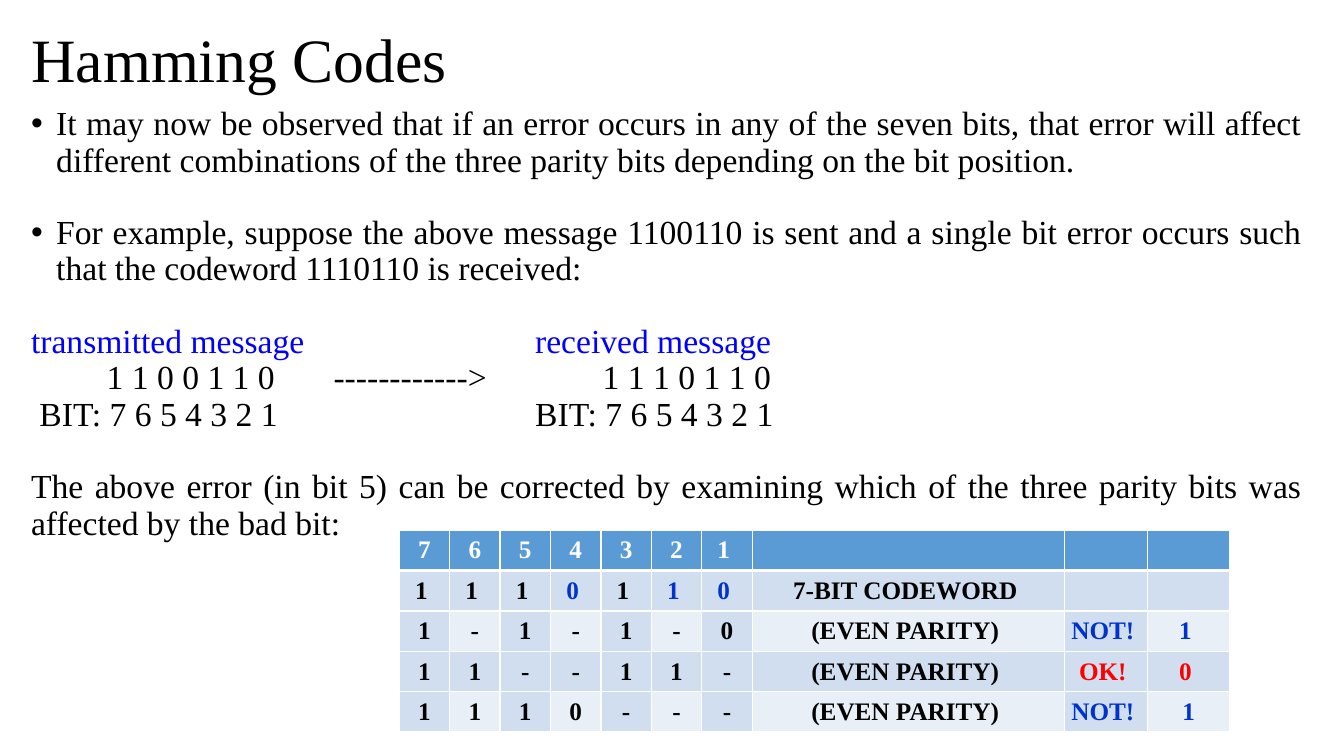
from pptx import Presentation, util as u
from pptx.dml.color import RGBColor
from pptx.enum import text as t
from lxml import etree

TITLE = "Hamming Codes"
BODY = [
    ("It may now be observed that if an error occurs in any of the seven bits, that error will affect different combinations of the three parity bits depending on the bit position.", "bullet", 0, "black", []),
    ("For example, suppose the above message 1100110 is sent and a single bit error occurs such that the codeword 1110110 is received:", "bullet", 26, "black", []),
    ("transmitted message\treceived message", "plain", 26, "link", [500]),
    ("\t1 1 0 0 1 1 0\t------------>\t1 1 1 0 1 1 0", "plain", 0, "black", [75, 300, 567]),
    (" BIT: 7 6 5 4 3 2 1\tBIT: 7 6 5 4 3 2 1", "plain", 0, "black", [500]),
    ("The above error (in bit 5) can be corrected by examining which of the three parity bits was affected by the bad bit:", "plain", 26, "black", []),
]
ROWS = [
    ["7", "6", "5", "4", "3", "2", "1 ", "", "", ""],
    ["1 ", "1 ", "1 ", "0 ", "1 ", "1 ", "0 ", "7-BIT CODEWORD ", "", ""],
    ["1", "-", "1", "-", "1", "-", "0", "(EVEN PARITY) ", "NOT! ", "1 "],
    ["1", "1", "-", "-", "1", "1", "-", "(EVEN PARITY) ", "OK! ", "0 "],
    ["1", "1", "1", "0", "-", "-", "-", "(EVEN PARITY) ", "NOT! ", "1"],
]
PARITY = {(1, 3), (1, 5), (1, 6)}
COLS = [50] * 7 + [310, 82, 82]
HIGH = 40
INSET = 5
FONT = "Times New Roman"
HEX = {"black": "000000", "white": "FFFFFF", "link": "0000FF", "blue": "0033CC",
       "red": "FF0000", "head": "5B9BD5", "band": "D0DEEF", "pale": "E9EFF7"}
NS = "http://schemas.openxmlformats.org/drawingml/2006/main"


def px(n):
    return u.Emu(n * 9144)


def color(name):
    return RGBColor.from_string(HEX[name])


def add(root, tag, **attrs):
    return etree.SubElement(root, f"{{{NS}}}{tag}", {k: str(v) for k, v in attrs.items()})


def style(para, size, name, align, bold=False):
    para.alignment = align
    font = para.font
    font.name, font.size, font.bold = FONT, u.Pt(size), bold
    font.color.rgb = color(name)


def place(shape, x, y, w, h):
    shape.left, shape.top, shape.width, shape.height = map(px, (x, y, w, h))


def edge(cell, row):
    props = cell._tc.get_or_add_tcPr()
    for i, side in enumerate("LRTB"):
        thick = (row, side) in {(0, "B"), (1, "T")}
        line = add(props, "ln" + side, w=u.Pt(3 if thick else 1))
        add(add(line, "solidFill"), "srgbClr", val=HEX["white"])
        props.insert(i, line)


def ink(row, col):
    if row == 0:
        return "white"
    if col >= 8:
        return "red" if row == 3 else "blue"
    return "blue" if (row, col) in PARITY else "black"


def shade(row, col):
    if row == 0:
        return "head"
    return "pale" if row % 2 == 0 and col % 2 else "band"


def write_title(slide):
    title = slide.shapes.title
    place(title, 21, 23, 1150, 78)
    frame = title.text_frame
    frame.text = TITLE
    frame.auto_size = t.MSO_AUTO_SIZE.NONE
    frame.vertical_anchor = t.MSO_ANCHOR.MIDDLE
    para = frame.paragraphs[0]
    para.line_spacing = 0.9
    style(para, 44, "black", t.PP_ALIGN.LEFT)


def write_body(slide):
    box = slide.shapes.add_textbox(px(21), px(101), px(1280), px(476))
    frame = box.text_frame
    frame.word_wrap = True
    for i, (words, kind, gap, name, stops) in enumerate(BODY):
        para = frame.add_paragraph() if i else frame.paragraphs[0]
        para.text = words
        para.line_spacing = 0.9
        para.space_before = u.Pt(gap)
        props = para._p.get_or_add_pPr()
        if kind == "bullet":
            props.set("marL", str(px(25)))
            props.set("indent", str(px(-25)))
            add(props, "buFont", typeface="Arial")
            add(props, "buChar", char="•")
        if stops:
            tabs = add(props, "tabLst")
            for stop in stops:
                add(tabs, "tab", pos=px(stop), algn="l")
        style(para, 24, name, t.PP_ALIGN.JUSTIFY)


def write_table(slide):
    frame = slide.shapes.add_table(len(ROWS), len(COLS), px(396), px(526),
                                   px(sum(COLS)), px(HIGH * len(ROWS)))
    table = frame.table
    for col, wide in zip(table.columns, COLS):
        col.width = px(wide)
    for r, row in enumerate(ROWS):
        table.rows[r].height = px(HIGH)
        for c, words in enumerate(row):
            cell = table.cell(r, c)
            cell.text = words
            cell.vertical_anchor = t.MSO_ANCHOR.MIDDLE
            cell.margin_left = cell.margin_right = px(INSET)
            cell.fill.solid()
            cell.fill.fore_color.rgb = color(shade(r, c))
            edge(cell, r)
            style(cell.text_frame.paragraphs[0], 18, ink(r, c), t.PP_ALIGN.CENTER, True)


def main():
    deck = Presentation()
    deck.slide_width, deck.slide_height = px(1333), px(750)
    slide = deck.slides.add_slide(deck.slide_layouts[5])
    write_title(slide)
    write_body(slide)
    write_table(slide)
    deck.save("out.pptx")


if __name__ == "__main__":
    main()
